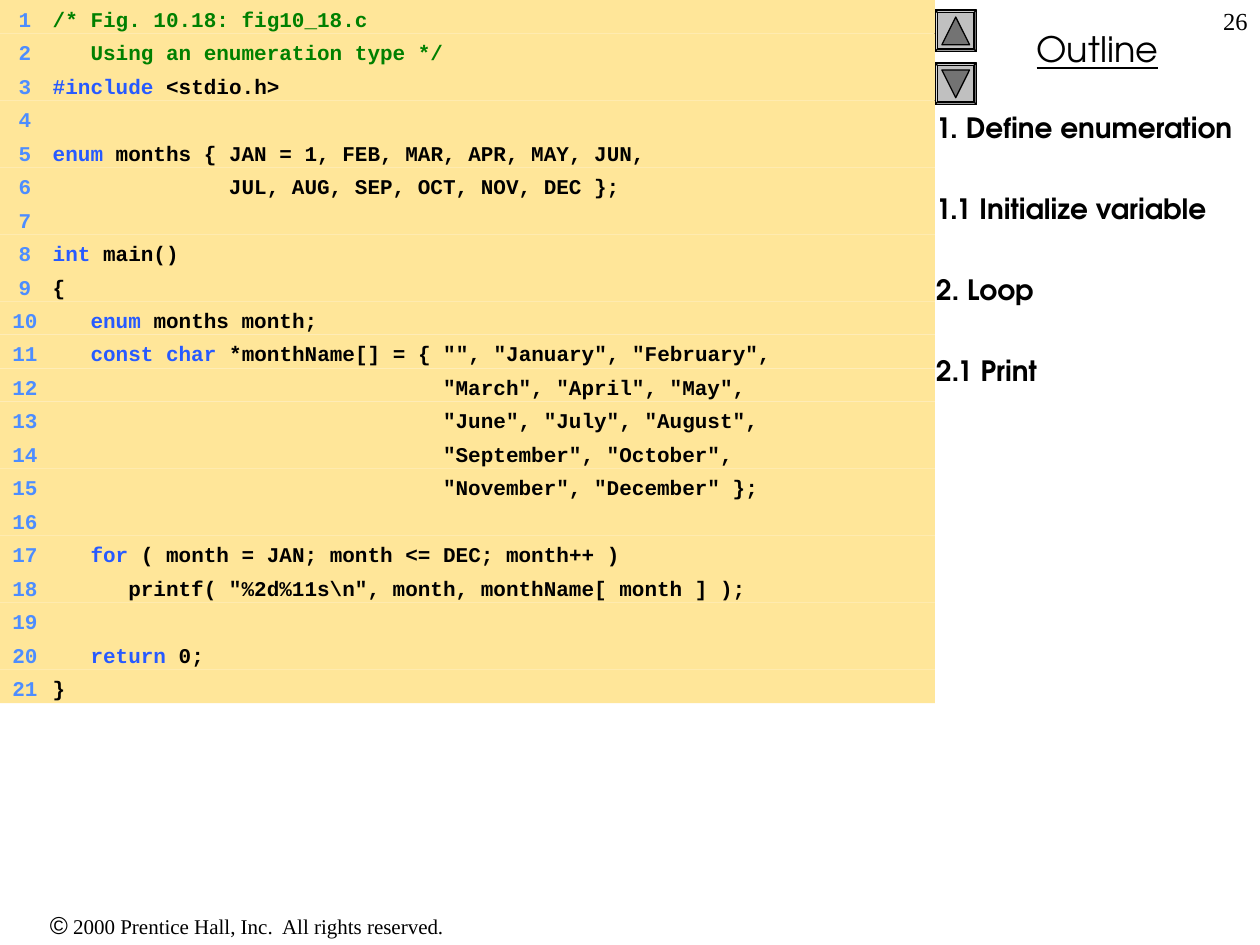
from dataclasses import dataclass

from lxml.etree import SubElement
from pptx import Presentation
from pptx.dml.color import RGBColor
from pptx.enum.shapes import MSO_SHAPE as Shape
from pptx.enum.text import MSO_ANCHOR as Anchor, PP_ALIGN as Align
from pptx.oxml.ns import qn
from pptx.util import Inches, Pt


@dataclass(frozen=True)
class Theme:
    black: str = "000000"
    code_fill: str = "FFE699"
    number: str = "4D8DFF"
    keyword: str = "275AFF"
    comment: str = "008000"
    button: str = "C0C0C0"
    arrow: str = "737373"
    code_font: str = "Courier New"
    outline_font: str = "TeX Gyre Adventor"
    serif_font: str = "Times New Roman"
    symbol_font: str = "Arial"
    small: int = 12
    medium: int = 14
    topic: int = 16
    heading: int = 20


THEME = Theme()
PLAIN, KEYWORD, COMMENT = THEME.black, THEME.keyword, THEME.comment

# Each code line is a list of (colour, text) runs
CODE = [
    [(COMMENT, "/* Fig. 10.18: fig10_18.c")],
    [(COMMENT, "   Using an enumeration type */")],
    [(KEYWORD, "#include"), (PLAIN, " <stdio.h>")],
    [],
    [(KEYWORD, "enum"), (PLAIN, " months { JAN = 1, FEB, MAR, APR, MAY, JUN,")],
    [(PLAIN, "              JUL, AUG, SEP, OCT, NOV, DEC };")],
    [],
    [(KEYWORD, "int"), (PLAIN, " main()")],
    [(PLAIN, "{")],
    [(KEYWORD, "   enum"), (PLAIN, " months month;")],
    [(KEYWORD, "   const char"),
     (PLAIN, ' *monthName[] = { "", "January", "February",')],
    [(PLAIN, '                               "March", "April", "May",')],
    [(PLAIN, '                               "June", "July", "August",')],
    [(PLAIN, '                               "September", "October",')],
    [(PLAIN, '                               "November", "December" };')],
    [],
    [(KEYWORD, "   for"), (PLAIN, " ( month = JAN; month <= DEC; month++ )")],
    [(PLAIN, '      printf( "%2d%11s\\n", month, monthName[ month ] );')],
    [],
    [(KEYWORD, "   return"), (PLAIN, " 0;")],
    [(PLAIN, "}")],
]
TOPICS = ["1. Define enumeration", "1.1 Initialize variable", "2. Loop", "2.1 Print"]

CODE_WIDTH = 7.42
CODE_HEIGHT = 5.58
NUMBER_TABS = [(0.15, "r"), (0.32, "l")]
BUTTON_SIZE = 0.33
ARROW_SIZE = 0.22


class SlideBuilder:
    def __init__(self, slide, theme):
        self.slide = slide
        self.theme = theme

    def add_run(self, paragraph, text, font, size, color=None, bold=False,
                underline=False):
        run = paragraph.add_run()
        run.text = text
        run.font.name = font
        run.font.size = Pt(size)
        run.font.bold = bold
        run.font.underline = underline
        run.font.color.rgb = RGBColor.from_string(color or self.theme.black)

    def add_text_box(self, left, top, width, height, align=Align.LEFT):
        box = self.slide.shapes.add_textbox(
            Inches(left), Inches(top), Inches(width), Inches(height))
        frame = box.text_frame
        frame.word_wrap = True
        frame.paragraphs[0].alignment = align
        return frame

    def add_filled_shape(self, kind, left, top, width, height, fill, line=None):
        shape = self.slide.shapes.add_shape(
            kind, Inches(left), Inches(top), Inches(width), Inches(height))
        shape.shadow.inherit = False
        shape.fill.solid()
        shape.fill.fore_color.rgb = RGBColor.from_string(fill)
        if line:
            shape.line.color.rgb = RGBColor.from_string(line)
            shape.line.width = Pt(0.75)
        else:
            shape.line.fill.background()
        return shape

    def add_button(self, left, top, rotation):
        theme = self.theme
        button = self.add_filled_shape(
            Shape.BEVEL, left, top, BUTTON_SIZE, BUTTON_SIZE, theme.button,
            theme.black)
        button.adjustments[0] = 0.06
        inset = (BUTTON_SIZE - ARROW_SIZE) / 2
        arrow = self.add_filled_shape(
            Shape.ISOSCELES_TRIANGLE, left + inset, top + inset, ARROW_SIZE,
            ARROW_SIZE, theme.arrow, theme.black)
        arrow.rotation = rotation

    def add_code_row(self, number, top, height, runs):
        theme = self.theme
        row = self.add_filled_shape(
            Shape.RECTANGLE, 0, top, CODE_WIDTH, height, theme.code_fill)
        frame = row.text_frame
        frame.word_wrap = True
        frame.vertical_anchor = Anchor.TOP
        paragraph = frame.paragraphs[0]
        paragraph.alignment = Align.LEFT
        self.add_tabs(paragraph, NUMBER_TABS)
        for color, text in [(theme.number, f"\t{number}\t"), *runs]:
            self.add_run(paragraph, text, theme.code_font, theme.small, color,
                         bold=True)

    def add_tabs(self, paragraph, tabs):
        properties = paragraph._p.get_or_add_pPr()
        tab_list = SubElement(properties, qn("a:tabLst"))
        for position, align in tabs:
            SubElement(tab_list, qn("a:tab"), pos=str(Inches(position)), algn=align)

    def add_topics(self, topics):
        theme = self.theme
        frame = self.add_text_box(7.33, 0.83, 2.67, 6.67)
        for index, topic in enumerate(topics):
            paragraph = frame.add_paragraph() if index else frame.paragraphs[0]
            if index:
                paragraph.space_before = Pt(27)
            self.add_run(paragraph, topic, theme.outline_font, theme.topic, bold=True)


def main():
    presentation = Presentation()
    presentation.slide_width = Inches(10)
    presentation.slide_height = Inches(7.5)
    slide = presentation.slides.add_slide(presentation.slide_layouts[6])
    builder = SlideBuilder(slide, THEME)

    # Copyright line
    footer = builder.add_text_box(0, 7.17, 3.92, 0.34, Align.CENTER).paragraphs[0]
    builder.add_run(footer, "©", THEME.symbol_font, THEME.medium)
    builder.add_run(footer, " 2000 Prentice Hall, Inc.  All rights reserved.",
                    THEME.serif_font, THEME.small)

    # Outline heading, buttons and topics
    heading = builder.add_text_box(7.42, 0.17, 2.58, 0.44, Align.CENTER).paragraphs[0]
    builder.add_run(heading, "Outline", THEME.outline_font, THEME.heading,
                    underline=True)
    builder.add_button(CODE_WIDTH, 0.08, 0)
    builder.add_button(CODE_WIDTH, 0.5, 180)
    builder.add_topics(TOPICS)

    # Code listing
    row_height = CODE_HEIGHT / len(CODE)
    for index, runs in enumerate(CODE):
        builder.add_code_row(index + 1, index * row_height, row_height, runs)

    # Page number
    page = builder.add_text_box(7.92, 0, 2.08, 0.5, Align.RIGHT).paragraphs[0]
    builder.add_run(page, "26", THEME.serif_font, THEME.medium)

    presentation.save("out.pptx")


if __name__ == "__main__":
    main()
